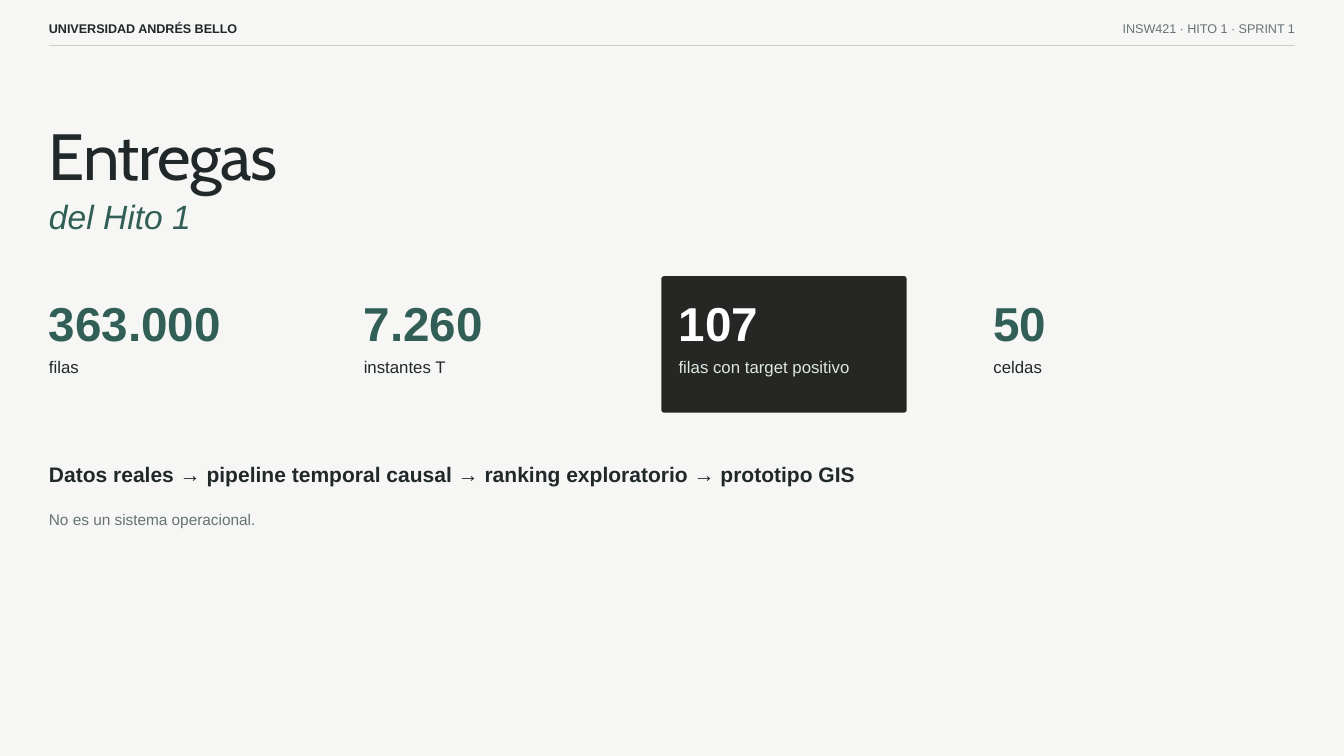
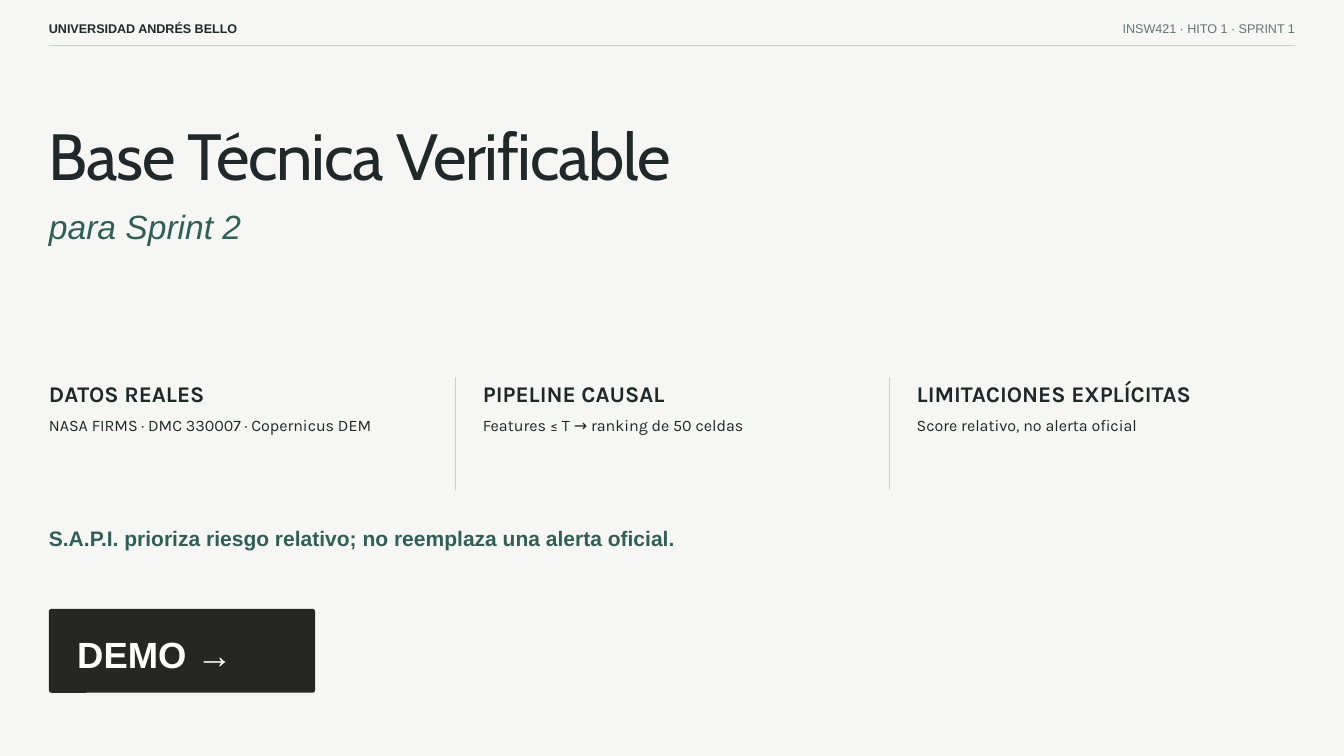
from pptx import Presentation
from pptx.dml.color import RGBColor
from pptx.enum.shapes import MSO_CONNECTOR, MSO_SHAPE
from pptx.enum.text import MSO_AUTO_SIZE, PP_ALIGN
from pptx.oxml.ns import qn
from pptx.util import Cm, Pt

LEFT, RIGHT = PP_ALIGN.LEFT, PP_ALIGN.RIGHT
GROW = MSO_AUTO_SIZE.SHAPE_TO_FIT_TEXT
LINE = MSO_CONNECTOR.STRAIGHT
ROUND = MSO_SHAPE.ROUNDED_RECTANGLE

HUES = {
    "paper": "F6F7F4",
    "ink": "20282A",
    "green": "315E56",
    "gray": "667276",
    "rule": "C7CFCB",
    "dark": "262624",
    "white": "FFFFFF",
    "mint": "DCE7E2",
}

STYLES = {
    "title": {"size": 70, "name": "Cabin"},
    "sub": {"size": 36, "name": "Arial", "italic": True},
    "number": {"size": 51, "name": "Arial", "bold": True},
    "label": {"size": 18, "name": "Arial"},
    "claim": {"size": 22.5, "name": "Arial", "bold": True},
    "note": {"size": 16.5, "name": "Arial"},
    "head": {"size": 24, "name": "Karla", "bold": True},
    "body": {"size": 17.2, "name": "Karla"},
    "button": {"size": 39, "name": "Arial", "bold": True},
    "school": {"size": 13.5, "name": "Arial", "bold": True},
    "course": {"size": 13.5, "name": "Arial"},
}
LEADS = {"title": 1.2, "head": 1.5}

EDGE, WIDE = 1.85, 47.1
END = EDGE + WIDE


def color(key):
    return RGBColor.from_string(HUES[key])


def write(slide, text, style, hue, x, y, w, align=LEFT):
    form = STYLES[style]
    lead = Pt(form["size"] * LEADS.get(style, 1.4))
    box = slide.shapes.add_textbox(Cm(x), Cm(y), Cm(w), lead)
    frame = box.text_frame
    for side in ("left", "top", "right", "bottom"):
        setattr(frame, f"margin_{side}", 0)
    frame.word_wrap = True
    frame.auto_size = GROW
    para = frame.paragraphs[0]
    para.alignment = align
    para.line_spacing = lead
    run = para.add_run()
    run.text = text
    for key, value in form.items():
        setattr(run.font, key, Pt(value) if key == "size" else value)
    run.font.color.rgb = color(hue)
    if style == "title":
        run._r.get_or_add_rPr().set("spc", "-140")


deck = Presentation()
deck.slide_width, deck.slide_height = Cm(50.8), Cm(28.58)

pages = [
    {
        "title": "Entregas", "sub": "del Hito 1", "drop": 7.14,
        "card": (25, 10.44, 9.27, 5.16, 0.02),
        "rules": [],
    },
    {
        "title": "Base Técnica Verificable", "sub": "para Sprint 2", "drop": 7.54,
        "card": (EDGE, 23.02, 10.06, 3.17, 0.03),
        "rules": [(x, 14.27, x, 18.52) for x in (17.23, 33.63)],
    },
]

slides = []
for page in pages:
    slide = deck.slides.add_slide(deck.slide_layouts[6])
    slides.append(slide)
    slide.background.fill.solid()
    slide.background.fill.fore_color.rgb = color("paper")

    *place, curve = page["card"]
    card = slide.shapes.add_shape(ROUND, *map(Cm, place))
    card.adjustments[0] = curve
    card.shadow.inherit = False
    card.fill.solid()
    card.fill.fore_color.rgb = color("dark")
    card.line.fill.background()

    for ends in [(EDGE, 1.73, END, 1.73)] + page["rules"]:
        rule = slide.shapes.add_connector(LINE, *map(Cm, ends))
        rule.line.width = Pt(1)
        rule.line.color.rgb = color("rule")
        props = rule._element.spPr
        props.append(props.makeelement(qn("a:effectLst"), {}))

    write(slide, "UNIVERSIDAD ANDRÉS BELLO", "school", "ink", EDGE, 0.69, 13.23)
    write(slide, "INSW421 · HITO 1 · SPRINT 1", "course", "gray",
          END - 13.23, 0.69, 13.23, RIGHT)
    write(slide, page["title"], "title", "ink", EDGE, 4.34, WIDE)
    write(slide, page["sub"], "sub", "green", EDGE, page["drop"], WIDE)

results, close = slides

stats = [
    ("363.000", "filas", "green", "ink"),
    ("7.260", "instantes T", "green", "ink"),
    ("107", "filas con target positivo", "white", "mint"),
    ("50", "celdas", "green", "ink"),
]
for i, (number, label, main, minor) in enumerate(stats):
    x = EDGE + i * 11.9
    write(results, number, "number", main, x, 10.77, 10.6)
    write(results, label, "label", minor, x, 13.34, 10.6)

write(results, "Datos reales → pipeline temporal causal → ranking exploratorio → prototipo GIS",
      "claim", "ink", EDGE, 17.3, WIDE)
write(results, "No es un sistema operacional.", "note", "gray", EDGE, 19.15, WIDE)

pillars = [
    ("DATOS REALES", "NASA FIRMS · DMC 330007 · Copernicus DEM"),
    ("PIPELINE CAUSAL", "Features ≤ T → ranking de 50 celdas"),
    ("LIMITACIONES EXPLÍCITAS", "Score relativo, no alerta oficial"),
]
for i, (head, body) in enumerate(pillars):
    x = EDGE + i * 16.4
    write(close, head, "head", "ink", x, 14.12, 14.27)
    write(close, body, "body", "ink", x, 15.6, 14.27)

write(close, "S.A.P.I. prioriza riesgo relativo; no reemplaza una alerta oficial.",
      "claim", "green", EDGE, 19.69, 31.1)
write(close, "DEMO →", "button", "white", 2.92, 23.62, 7.92)

deck.save("out.pptx")
